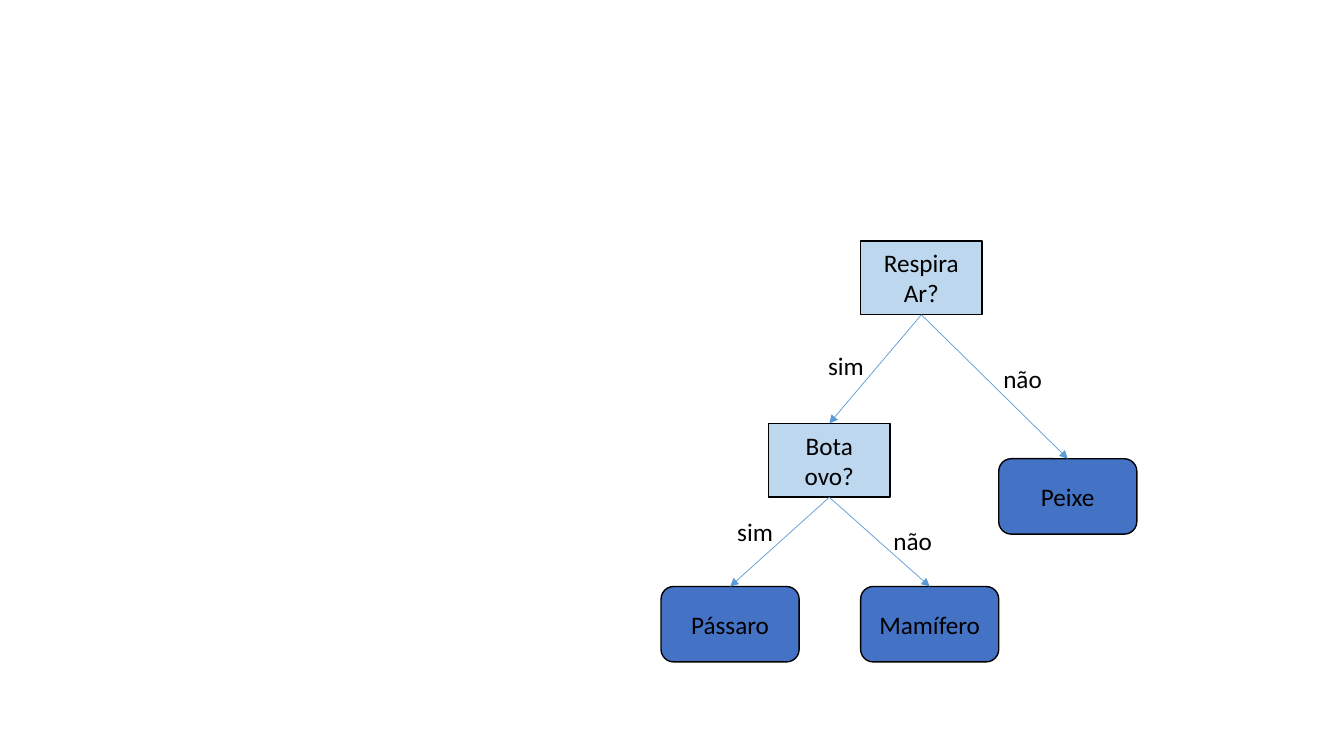
from dataclasses import dataclass

from pptx import Presentation
from pptx import util as u
from pptx.dml.color import RGBColor
from pptx.enum import shapes, text
from pptx.oxml.ns import qn
from lxml import etree


@dataclass(frozen=True)
class Theme:
    font: str = "Calibri"
    size: float = 18
    ink: str = "000000"
    question: str = "BDD7EE"
    answer: str = "4472C4"
    branch: str = "5B9BD5"
    border_width: float = 1
    branch_width: float = 0.5


class TreeSlide:
    BOTTOM, TOP = 2, 0

    def __init__(self, slide, theme):
        self.theme = theme
        self.tree = slide.shapes.add_group_shape().shapes

    def set_wording(self, frame, wording, **frame_format):
        frame.word_wrap = True
        for name, value in frame_format.items():
            setattr(frame, name, value)
        frame.text = wording
        font_format = {"name": self.theme.font, "size": u.Pt(self.theme.size)}
        for paragraph in frame.paragraphs:
            paragraph.alignment = text.PP_ALIGN.CENTER
            for run in paragraph.runs:
                for name, value in font_format.items():
                    setattr(run.font, name, value)
                run.font.color.rgb = RGBColor.from_string(self.theme.ink)

    def node(self, preset, fill, wording, left, top, width, height):
        box = self.tree.add_shape(preset, *map(u.Cm, (left, top, width, height)))
        box.shadow.inherit = False
        box.fill.solid()
        box.fill.fore_color.rgb = RGBColor.from_string(fill)
        box.line.color.rgb = RGBColor.from_string(self.theme.ink)
        box.line.width = u.Pt(self.theme.border_width)
        self.set_wording(box.text_frame, wording,
                         vertical_anchor=text.MSO_ANCHOR.MIDDLE)
        return box

    def question(self, wording, left, top):
        return self.node(shapes.MSO_SHAPE.RECTANGLE, self.theme.question,
                         wording, left, top, 3.06, 1.86)

    def answer(self, wording, left, top):
        return self.node(shapes.MSO_SHAPE.ROUNDED_RECTANGLE, self.theme.answer,
                         wording, left, top, 3.48, 1.9)

    def branch(self, parent, child):
        arrow = self.tree.add_connector(
            shapes.MSO_CONNECTOR.STRAIGHT,
            parent.left + parent.width // 2, parent.top + parent.height,
            child.left + child.width // 2, child.top)
        arrow.begin_connect(parent, self.BOTTOM)
        arrow.end_connect(child, self.TOP)
        arrow.line.color.rgb = RGBColor.from_string(self.theme.branch)
        arrow.line.width = u.Pt(self.theme.branch_width)
        properties = arrow.element.spPr
        etree.SubElement(properties.find(qn("a:ln")), qn("a:tailEnd"), type="triangle")
        etree.SubElement(properties, qn("a:effectLst"))

    def label(self, wording, left, top):
        caption = self.tree.add_textbox(*map(u.Cm, (left, top, 2, 1.03)))
        self.set_wording(caption.text_frame, wording,
                         auto_size=text.MSO_AUTO_SIZE.SHAPE_TO_FIT_TEXT)


def main():
    deck = Presentation()
    deck.slide_width, deck.slide_height = u.Cm(33.87), u.Cm(19.05)
    slide = TreeSlide(deck.slides.add_slide(deck.slide_layouts[6]), Theme())

    breathes_air = slide.question("Respira\nAr?", 21.69, 6.07)
    lays_eggs = slide.question("Bota ovo?", 19.37, 10.67)
    fish = slide.answer("Peixe", 25.17, 11.56)
    bird = slide.answer("Pássaro", 16.66, 14.78)
    mammal = slide.answer("Mamífero", 21.69, 14.78)

    for parent, child in ((breathes_air, fish), (breathes_air, lays_eggs),
                          (lays_eggs, mammal), (lays_eggs, bird)):
        slide.branch(parent, child)

    for wording, left, top in (("não", 24.77, 9.04), ("sim", 20.32, 8.71),
                               ("sim", 18.03, 12.88), ("não", 22, 13.11)):
        slide.label(wording, left, top)

    deck.save("out.pptx")


if __name__ == "__main__":
    main()
